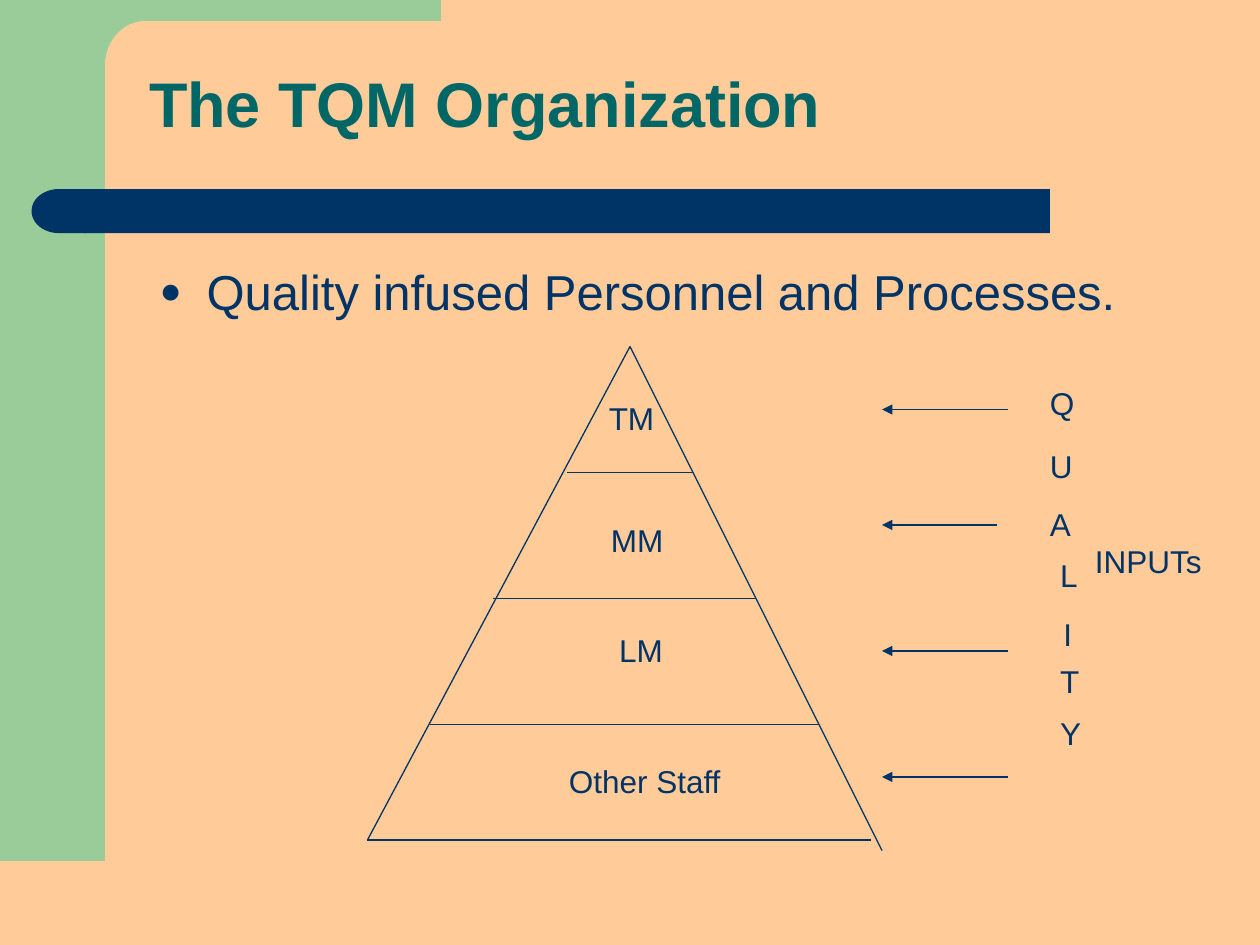
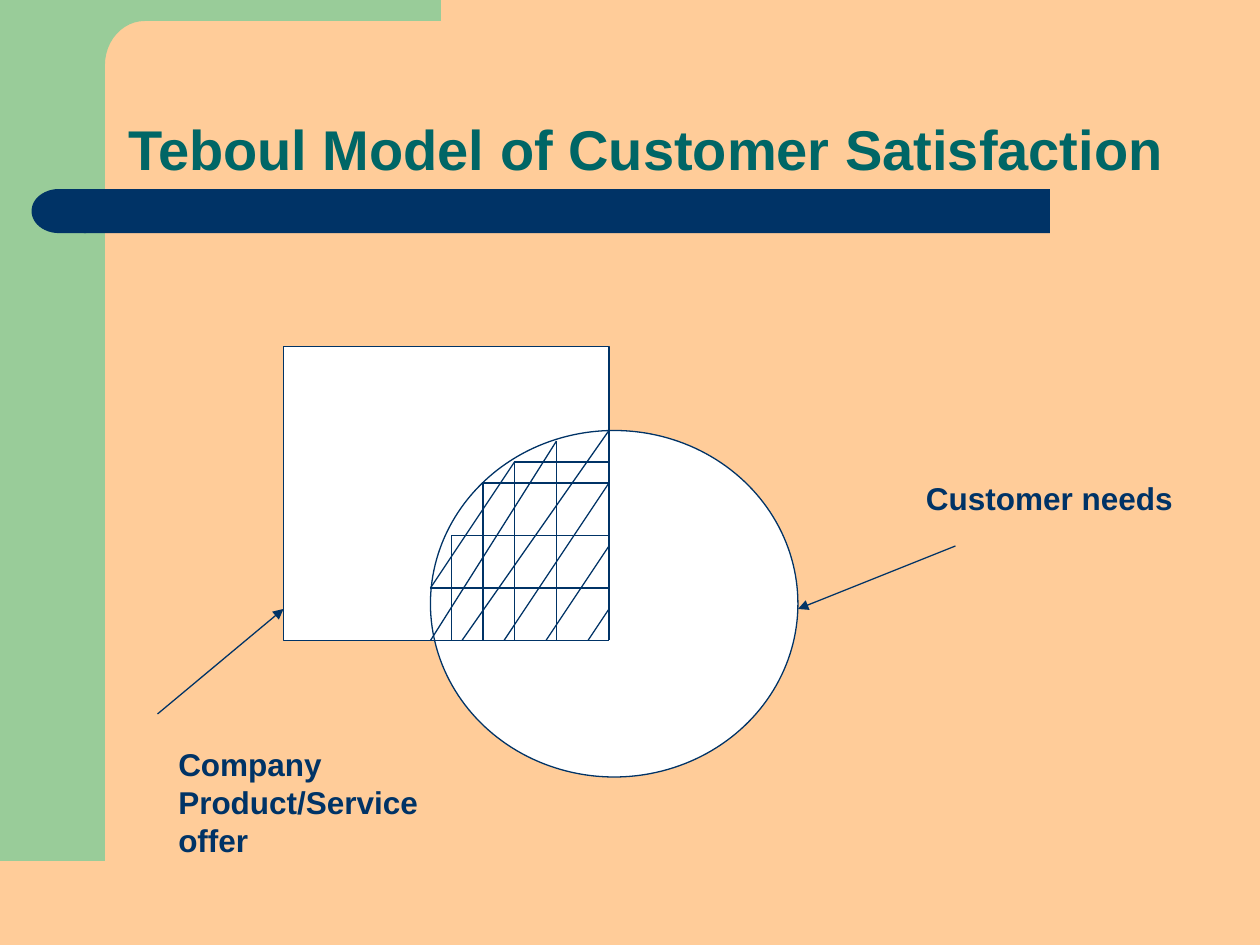
from math import cos, pi, sin

from lxml import etree
from pptx import Presentation
from pptx.dml.color import RGBColor
from pptx.enum.shapes import MSO_CONNECTOR, MSO_SHAPE
from pptx.enum.text import MSO_ANCHOR, PP_ALIGN
from pptx.oxml.ns import qn
from pptx.util import Cm, Pt

STRAIGHT = MSO_CONNECTOR.STRAIGHT
RECTANGLE = MSO_SHAPE.RECTANGLE
ELLIPSE = MSO_SHAPE.OVAL
DELAY = MSO_SHAPE.FLOWCHART_DELAY
BOTTOM = MSO_ANCHOR.BOTTOM
TOP = MSO_ANCHOR.TOP
LEFT = PP_ALIGN.LEFT

PEACH, GREEN, NAVY, TEAL, WHITE = "FFCC99", "99CC99", "003366", "006666", "FFFFFF"
FONT = "Arial"
GRID_PER_INCH = 12

ORGANIZATION = {
    "title": "The TQM Organization",
    "title_box": (13, 1, 102, 13),
    "title_size": 36,
    "bullet": "Quality infused Personnel and Processes.",
    "bullet_box": (14, 24.3, 102, 54),
}
PYRAMID_SIDES = [(60, 33, 35, 80), (60, 33, 84, 81), (35, 80, 83, 80)]
PYRAMID_DIVIDERS = [(54, 66, 45), (47, 72, 57), (41, 78, 69)]
PYRAMID_LEVELS = [
    ("TM", 56.8, 37.4, 7),
    ("MM", 57, 49, 8),
    ("LM", 57.8, 59.5, 7),
    ("Other Staff", 53, 72, 18),
]
INPUT_ARROWS = [(96, 39), (95, 50), (96, 62), (96, 74)]
INPUT_ARROW_END = 84
QUALITY_LETTERS = [
    ("Q", 98.8, 36), ("U", 98.8, 42), ("A", 98.8, 47.5), ("L", 99.8, 52.4),
    ("I", 100.1, 58), ("T", 99.8, 62.5), ("Y", 99.8, 67.4),
]
LETTER_WIDTH = 6
INPUTS_LABEL = ("INPUTs", 103.1, 51, 14)

SATISFACTION = {
    "title": "Teboul Model of Customer Satisfaction",
    "title_box": (11, 5, 102, 13),
    "title_size": 32,
}
OFFER_BOX = (27, 33, 31, 28)
NEEDS_BOX = (41, 41, 35, 33)
MODEL_LABELS = [
    ("Customer needs", 87, 45, 27),
    ("Company\nProduct/Service\noffer", 15.8, 70.4, 26),
]
MODEL_ARROWS = [(91, 52, 76, 58), (15, 68, 27, 58)]
OVERLAP_RIGHT, OVERLAP_BOTTOM = 58, 61
HATCH_COLUMNS = [(58, 41), (43, 51), (46, 46), (53, 42), (49, 44)]
HATCH_ROWS = [(41, 61), (49, 44), (43, 51), (46, 46), (41, 56)]
HATCH_DIAGONALS = [
    (49, 44, 41, 56), (53, 42, 41, 61), (58, 41, 44, 61),
    (48, 61, 58, 46), (52, 61, 58, 52), (56, 61, 58, 58),
]


def grid(*values):
    return [Cm(value * 2.54 / GRID_PER_INCH) for value in values]


def color(hex_value):
    return RGBColor.from_string(hex_value)


def format_runs(paragraph, size, hex_value, bold=False):
    for run in paragraph.runs:
        run.font.name = FONT
        run.font.size = Pt(size)
        run.font.bold = bold
        run.font.color.rgb = color(hex_value)


def paint(shape, fill, line=None):
    shape.shadow.inherit = False
    shape.fill.solid()
    shape.fill.fore_color.rgb = color(fill)
    if line:
        shape.line.color.rgb = color(line)
        shape.line.width = Pt(0.75)
    else:
        shape.line.fill.background()
    return shape


def add_block(slide, kind, box, fill, line=None):
    return paint(slide.shapes.add_shape(kind, *grid(*box)), fill, line)


def add_line(slide, ends, arrow=False):
    connector = slide.shapes.add_connector(STRAIGHT, *grid(*ends))
    connector.line.color.rgb = color(NAVY)
    connector.line.width = Pt(0.75)
    if arrow:
        etree.SubElement(connector.line._get_or_add_ln(), qn("a:tailEnd"), type="triangle")
    etree.SubElement(connector.element.spPr, qn("a:effectLst"))


def add_label(slide, text, left, top, width, bold=False):
    height = 4.8 + 3.6 * text.count("\n")
    text_frame = slide.shapes.add_textbox(*grid(left, top, width, height)).text_frame
    text_frame.word_wrap = True
    text_frame.text = text
    for paragraph in text_frame.paragraphs:
        format_runs(paragraph, 18, NAVY, bold)


def place(shape, box):
    shape.left, shape.top, shape.width, shape.height = grid(*box)


def set_title(slide, content):
    title = slide.shapes.title
    place(title, content["title_box"])
    title.text_frame.text = content["title"]
    title.text_frame.vertical_anchor = BOTTOM
    paragraph = title.text_frame.paragraphs[0]
    paragraph.alignment = LEFT
    paragraph.line_spacing = 0.9
    format_runs(paragraph, content["title_size"], TEAL, True)


def set_bullet(slide, content):
    body = slide.placeholders[1]
    place(body, content["bullet_box"])
    body.text_frame.text = content["bullet"]
    body.text_frame.vertical_anchor = TOP
    paragraph = body.text_frame.paragraphs[0]
    properties = paragraph._p.get_or_add_pPr()
    properties.set("marL", str(Cm(0.95)))
    properties.set("indent", str(-Cm(0.95)))
    bullet_color = etree.SubElement(properties, qn("a:buClr"))
    etree.SubElement(bullet_color, qn("a:srgbClr"), val=NAVY)
    etree.SubElement(properties, qn("a:buSzPct"), val="75000")
    etree.SubElement(properties, qn("a:buFont"), typeface=FONT)
    etree.SubElement(properties, qn("a:buChar"), char="●")
    paragraph.space_before = Pt(0)
    format_runs(paragraph, 28, NAVY)


def add_corner(slide):
    edge, top, radius_x, radius_y = 10, 2, 3.8, 4.2
    angles = [pi / 2 * step / 12 for step in range(13)]
    arc = [
        (edge + radius_x * (1 - sin(angle)), top + radius_y * (1 - cos(angle)))
        for angle in angles
    ]
    points = [(42, top), *arc, (edge, 7.3), (6, 7.3), (6, 0)]
    builder = slide.shapes.build_freeform(*grid(42, 0))
    builder.add_line_segments([grid(*point) for point in points], close=True)
    return paint(builder.convert_to_shape(), GREEN)


def decorate_master(presentation, slide):
    master = presentation.slide_master
    master.background.fill.solid()
    master.background.fill.fore_color.rgb = color(PEACH)
    side_band = add_block(slide, RECTANGLE, (0, 0, 10, 82), GREEN)
    corner = add_corner(slide)
    title_bar = add_block(slide, RECTANGLE, (8, 18, 92, 4.2), NAVY)
    bar_cap = add_block(slide, DELAY, (3, 18, 5.2, 4.2), NAVY)
    bar_cap.rotation = 180
    for position, shape in enumerate((side_band, corner, title_bar, bar_cap), 2):
        master.shapes.element.insert(position, shape.element)


def build_organization(slide):
    set_title(slide, ORGANIZATION)
    set_bullet(slide, ORGANIZATION)
    for side in PYRAMID_SIDES:
        add_line(slide, side)
    for left, right, y in PYRAMID_DIVIDERS:
        add_line(slide, (left, y, right, y))
    for start, y in INPUT_ARROWS:
        add_line(slide, (start, y, INPUT_ARROW_END, y), arrow=True)
    letters = [(*letter, LETTER_WIDTH) for letter in QUALITY_LETTERS]
    for label in [*PYRAMID_LEVELS, *letters, INPUTS_LABEL]:
        add_label(slide, *label)


def build_satisfaction(slide):
    set_title(slide, SATISFACTION)
    add_block(slide, RECTANGLE, OFFER_BOX, WHITE, NAVY)
    add_block(slide, ELLIPSE, NEEDS_BOX, WHITE, NAVY)
    for arrow in MODEL_ARROWS:
        add_line(slide, arrow, arrow=True)
    for label in MODEL_LABELS:
        add_label(slide, *label, bold=True)
    columns = [(x, top, x, OVERLAP_BOTTOM) for x, top in HATCH_COLUMNS]
    rows = [(left, y, OVERLAP_RIGHT, y) for left, y in HATCH_ROWS]
    for ends in columns + rows + HATCH_DIAGONALS:
        add_line(slide, ends)


def main():
    presentation = Presentation()
    presentation.slide_width = Cm(25.4)
    presentation.slide_height = Cm(19.05)
    layouts = presentation.slide_layouts
    organization = presentation.slides.add_slide(layouts.get_by_name("Title and Content"))
    decorate_master(presentation, organization)
    build_organization(organization)
    build_satisfaction(presentation.slides.add_slide(layouts.get_by_name("Title Only")))
    presentation.save("out.pptx")


if __name__ == "__main__":
    main()
